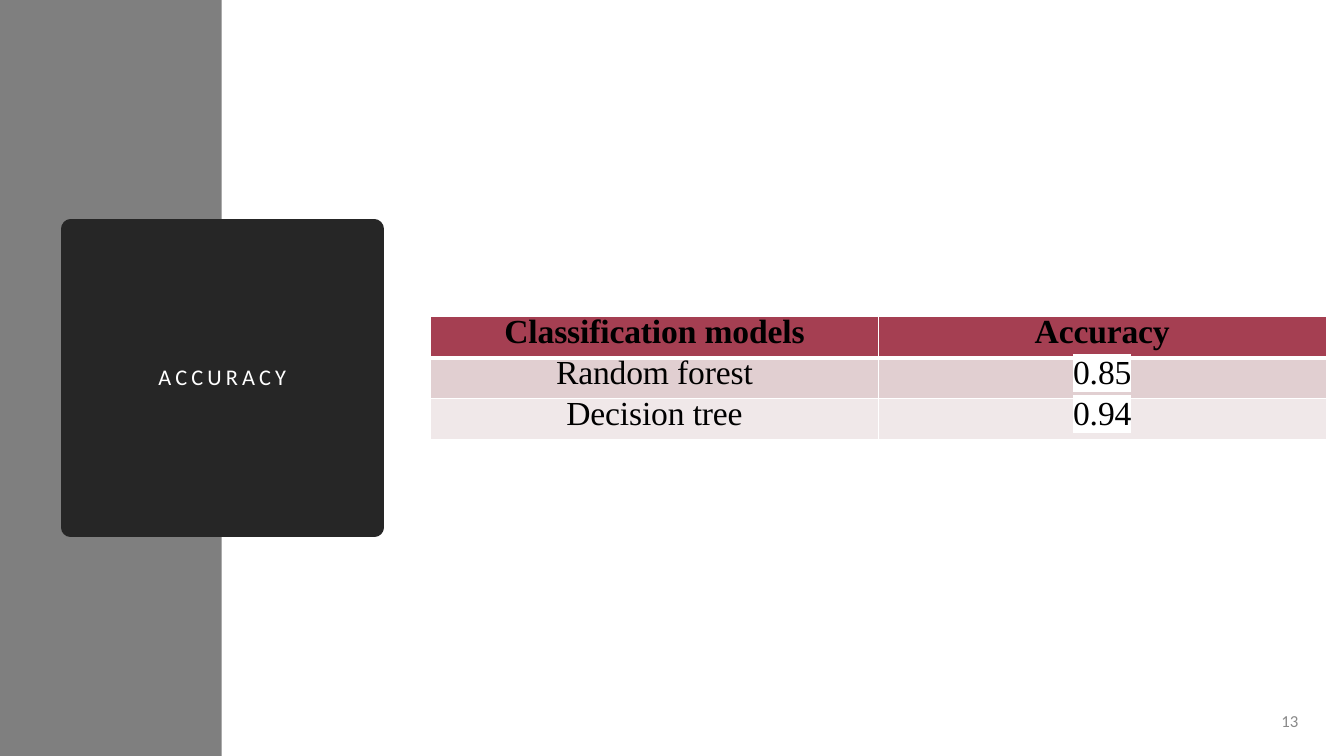
import pptx
import pptx.util
import pptx.dml.color
import pptx.enum.shapes
import pptx.enum.text
import pptx.oxml
import pptx.oxml.ns
from pptx.util import Cm, Pt
from pptx.dml.color import RGBColor
from pptx.enum.text import MSO_ANCHOR, PP_ALIGN

WHITE = RGBColor(0xFF, 0xFF, 0xFF)
BLACK = RGBColor(0x00, 0x00, 0x00)
BAND_GREY = RGBColor(0x7F, 0x7F, 0x7F)
TITLE_DARK = RGBColor(0x26, 0x26, 0x26)
NUMBER_GREY = RGBColor(0x89, 0x89, 0x89)
ROW_FILLS = [
    RGBColor(0xA5, 0x3F, 0x52),
    RGBColor(0xE1, 0xCF, 0xD1),
    RGBColor(0xF0, 0xE8, 0xE9),
]
ACCURACY_ROWS = [
    ("Classification models", "Accuracy"),
    ("Random forest", "0.85"),
    ("Decision tree", "0.94"),
]
NAMESPACE = pptx.oxml.ns.nsdecls("a")


def write_text(frame, text, font="Calibri", size=16, color=BLACK, bold=False,
               align=PP_ALIGN.CENTER, line_spacing=1.0, before=0, after=0,
               letter_spacing=0, highlight=None):
    """Fill the frame with one formatted paragraph; spacings are in points."""
    paragraph = frame.paragraphs[0]
    paragraph.alignment = align
    paragraph.line_spacing = line_spacing
    paragraph.space_before = Pt(before)
    paragraph.space_after = Pt(after)
    run = paragraph.add_run()
    run.text = text
    run.font.name = font
    run.font.size = Pt(size)
    run.font.bold = bold
    run.font.color.rgb = color
    properties = run.font._element
    properties.set("spc", str(round(letter_spacing * 100)))
    if highlight is not None:
        latin = properties.find(pptx.oxml.ns.qn("a:latin"))
        latin.addprevious(pptx.oxml.parse_xml(
            f'<a:highlight {NAMESPACE}><a:srgbClr val="{highlight}"/></a:highlight>'))


def set_borders(cell, widths):
    """Draw white cell borders; widths maps L, R, T and B to points."""
    properties = cell._tc.get_or_add_tcPr()
    for index, (side, width) in enumerate(widths.items()):
        properties.insert(index, pptx.oxml.parse_xml(
            f'<a:ln{side} {NAMESPACE} w="{Pt(width)}"><a:solidFill>'
            f'<a:srgbClr val="{WHITE}"/></a:solidFill></a:ln{side}>'))


def place_title(slide, left, top, width, height):
    title = slide.shapes.title
    title.left, title.top, title.width, title.height = left, top, width, height
    title.fill.solid()
    title.fill.fore_color.rgb = TITLE_DARK
    title.line.color.rgb = TITLE_DARK
    title.line.width = Pt(13.75)
    title.line._get_or_add_ln().append(pptx.oxml.parse_xml(f"<a:round {NAMESPACE}/>"))
    frame = title.text_frame
    frame.word_wrap = True
    frame.vertical_anchor = MSO_ANCHOR.MIDDLE
    write_text(frame, "ACCURACY", color=WHITE, line_spacing=0.9, letter_spacing=3)


def add_side_band(slide, left, top, width, height):
    """Add the grey band behind the title."""
    band = slide.shapes.add_shape(
        pptx.enum.shapes.MSO_SHAPE.RECTANGLE, left, top, width, height)
    band.shadow.inherit = False
    band.fill.solid()
    band.fill.fore_color.rgb = BAND_GREY
    band.line.fill.background()
    slide.shapes.title.element.addprevious(band.element)


def add_accuracy_table(slide, left, top, width, height):
    table = slide.shapes.add_table(
        len(ACCURACY_ROWS), len(ACCURACY_ROWS[0]), left, top, width, height).table
    for row_index, (texts, fill) in enumerate(zip(ACCURACY_ROWS, ROW_FILLS)):
        for column_index, text in enumerate(texts):
            cell = table.cell(row_index, column_index)
            cell.fill.solid()
            cell.fill.fore_color.rgb = fill
            cell.margin_left = cell.margin_right = Cm(0.18)
            cell.margin_top = cell.margin_bottom = 0
            is_header = row_index == 0
            is_value = not is_header and column_index == 1
            write_text(cell.text_frame, text, font="Times New Roman", size=24,
                       bold=is_header, line_spacing=0.9, before=0.6, after=6,
                       letter_spacing=-0.1, highlight=WHITE if is_value else None)
            set_borders(cell, {"L": 1, "R": 1, "T": 3 if row_index == 1 else 1,
                               "B": 3 if is_header else 1})


def add_slide_number(slide, left, top, width, height):
    frame = slide.shapes.add_textbox(left, top, width, height).text_frame
    frame.word_wrap = True
    frame.vertical_anchor = MSO_ANCHOR.MIDDLE
    write_text(frame, "13", size=12, color=NUMBER_GREY, align=PP_ALIGN.RIGHT, after=6)


def main():
    presentation = pptx.Presentation()
    presentation.slide_width = Cm(33.87)
    presentation.slide_height = Cm(19.05)
    slide = presentation.slides.add_slide(
        presentation.slide_layouts.get_by_name("Title Only"))
    place_title(slide, Cm(1.78), Cm(5.77), Cm(7.65), Cm(7.52))
    add_side_band(slide, 0, 0, Cm(5.59), presentation.slide_height)
    add_accuracy_table(slide, Cm(10.85), Cm(7.98), Cm(22.57), Cm(3.1))
    add_slide_number(slide, Cm(31.42), Cm(17.65), Cm(1.55), Cm(1.02))
    presentation.save("out.pptx")


if __name__ == "__main__":
    main()
